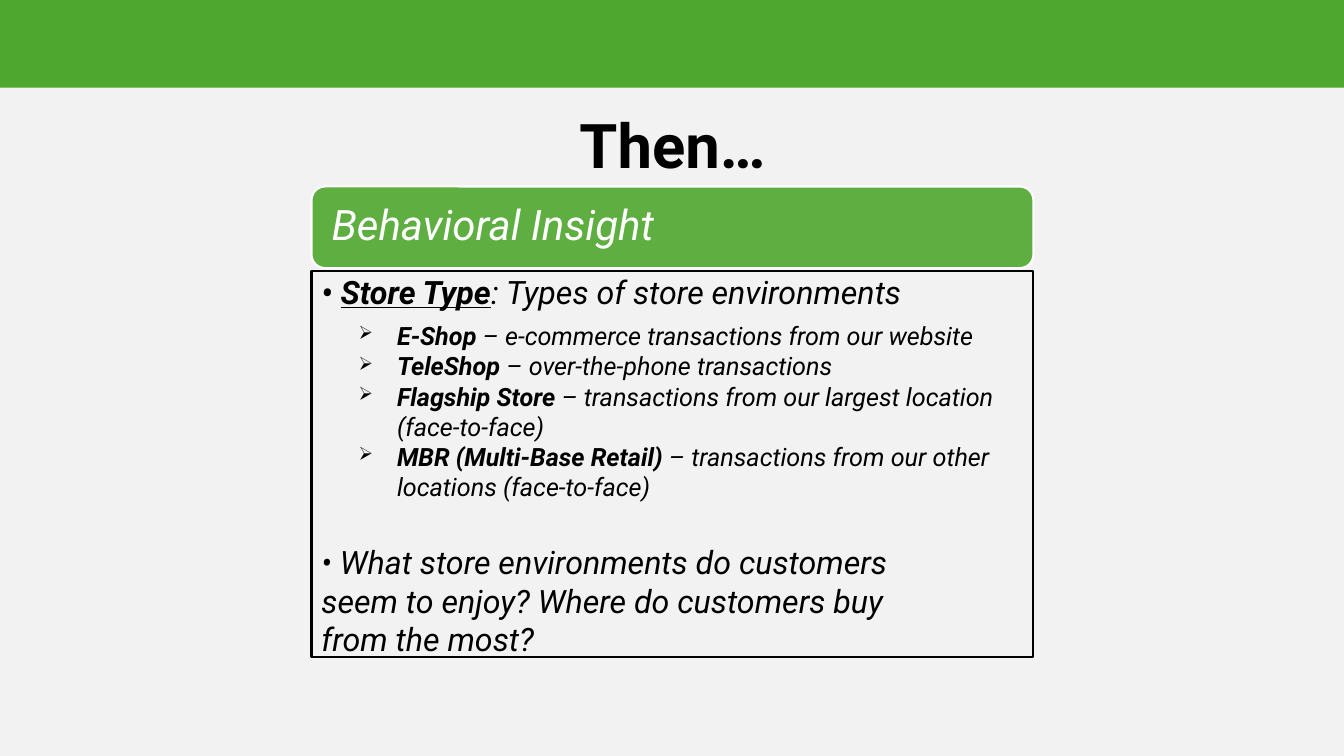
from lxml.etree import SubElement
from pptx import Presentation
from pptx.dml.color import RGBColor
from pptx.enum.shapes import MSO_SHAPE as Shape
from pptx.enum.text import MSO_ANCHOR as Anchor, MSO_AUTO_SIZE as AutoSize, PP_ALIGN as Align
from pptx.oxml.ns import qn
from pptx.util import Inches, Pt

GREEN = RGBColor(0x4E, 0xA7, 0x2E)
WHITE = RGBColor(0xFF, 0xFF, 0xFF)
BLACK = RGBColor(0, 0, 0)
LIGHT_GREY = RGBColor(0xF2, 0xF2, 0xF2)
FONT = "Roboto"
WIDTH, HEIGHT = 13.33, 7.5

STORE_TYPES = [
    ("E-Shop", " – e-commerce transactions from our website"),
    ("TeleShop", " – over-the-phone transactions"),
    ("Flagship Store", " – transactions from our largest location (face-to-face)"),
    ("MBR (Multi-Base Retail)", " – transactions from our other locations (face-to-face)"),
]
QUESTION = ("• What store environments do customers seem to enjoy? "
            "Where do customers buy from the most?")


def set_font(paragraph, size, color=BLACK, bold=False, italic=True):
    font = paragraph.font
    font.name, font.size, font.bold, font.italic = FONT, Pt(size), bold, italic
    font.color.rgb = color


def add_run(paragraph, text, bold=None, underline=None):
    run = paragraph.add_run()
    run.text = text
    run.font.bold, run.font.underline = bold, underline


def add_box(slide, kind, left, top, width, height, fill=None, line=None):
    shape = slide.shapes.add_shape(kind, Inches(left), Inches(top), Inches(width), Inches(height))
    shape.shadow.inherit = False
    if fill is None:
        shape.fill.background()
    else:
        shape.fill.solid()
        shape.fill.fore_color.rgb = fill
    if line is None:
        shape.line.fill.background()
    else:
        shape.line.color.rgb = line
        shape.line.width = Pt(1.5)
    return shape


def add_text_frame(slide, left, top, width, height):
    box = slide.shapes.add_textbox(Inches(left), Inches(top), Inches(width), Inches(height))
    box.text_frame.word_wrap = True
    return box.text_frame


def add_arrow_bullet(paragraph):
    properties = paragraph._p.get_or_add_pPr()
    properties.set("marL", str(Inches(0.88)))
    properties.set("indent", str(Inches(-0.38)))
    SubElement(properties, qn("a:buSzPct")).set("val", "73000")
    SubElement(properties, qn("a:buChar")).set("char", "➢")


def add_title(slide, left, top, width, height):
    title = slide.shapes.title
    title.left, title.top = Inches(left), Inches(top)
    title.width, title.height = Inches(width), Inches(height)
    frame = title.text_frame
    frame.text = "Then…"
    frame.auto_size = AutoSize.NONE
    frame.vertical_anchor = Anchor.MIDDLE
    paragraph = frame.paragraphs[0]
    paragraph.alignment = Align.CENTER
    paragraph.line_spacing = 0.9
    set_font(paragraph, 44, bold=True, italic=False)


def add_heading(slide, left, top, width, height):
    heading = add_box(slide, Shape.ROUNDED_RECTANGLE, left, top, width, height, GREEN, WHITE)
    color = heading.fill._xPr.find(qn("a:solidFill"))[0]
    SubElement(color, qn("a:alpha")).set("val", "90000")
    frame = heading.text_frame
    frame.margin_left = frame.margin_right = Inches(0.16)
    frame.vertical_anchor = Anchor.MIDDLE
    paragraph = frame.paragraphs[0]
    paragraph.text = "Behavioral Insight"
    paragraph.alignment = Align.LEFT
    paragraph.line_spacing = 0.9
    set_font(paragraph, 30, WHITE)


def add_insight(slide, left, top, width, height):
    # Frame around the insight
    add_box(slide, Shape.RECTANGLE, left, top, width, height, line=BLACK)

    # Lead line
    lead = add_text_frame(slide, left, top - 0.04, 6.31, 0.48).paragraphs[0]
    add_run(lead, "• ", bold=True)
    add_run(lead, "Store Type", bold=True, underline=True)
    add_run(lead, ": Types of store environments")
    set_font(lead, 23)

    # Store types
    frame = add_text_frame(slide, left - 0.13, top + 0.44, 7.03, 1.92)
    for index, (name, description) in enumerate(STORE_TYPES):
        paragraph = frame.add_paragraph() if index else frame.paragraphs[0]
        add_arrow_bullet(paragraph)
        add_run(paragraph, name, bold=True)
        add_run(paragraph, description)
        set_font(paragraph, 18)

    # Closing question
    question = add_text_frame(slide, left, top + 2.64, 6.31, 1.25).paragraphs[0]
    question.text = QUESTION
    set_font(question, 23)


def main():
    presentation = Presentation()
    presentation.slide_width, presentation.slide_height = Inches(WIDTH), Inches(HEIGHT)
    slide = presentation.slides.add_slide(presentation.slide_layouts[5])
    slide.background.fill.solid()
    slide.background.fill.fore_color.rgb = LIGHT_GREY

    add_box(slide, Shape.RECTANGLE, 0, 0, WIDTH, 0.87, GREEN)  # top band
    add_title(slide, 3.44, 0.98, 6.46, 0.98)
    add_heading(slide, 3.09, 1.85, 7.16, 0.81)
    add_insight(slide, 3.09, 2.69, 7.16, 3.83)
    presentation.save("out.pptx")


if __name__ == "__main__":
    main()
